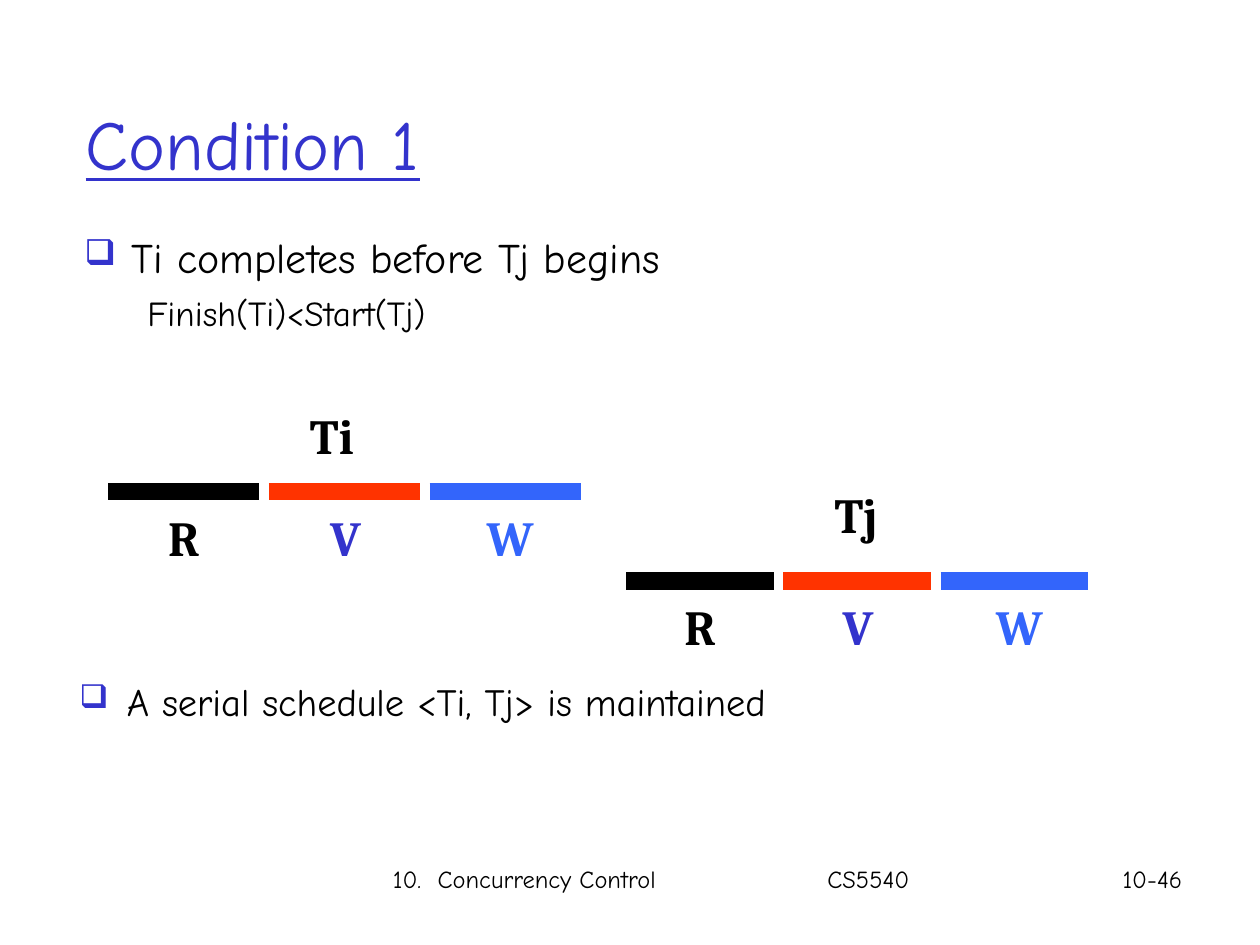
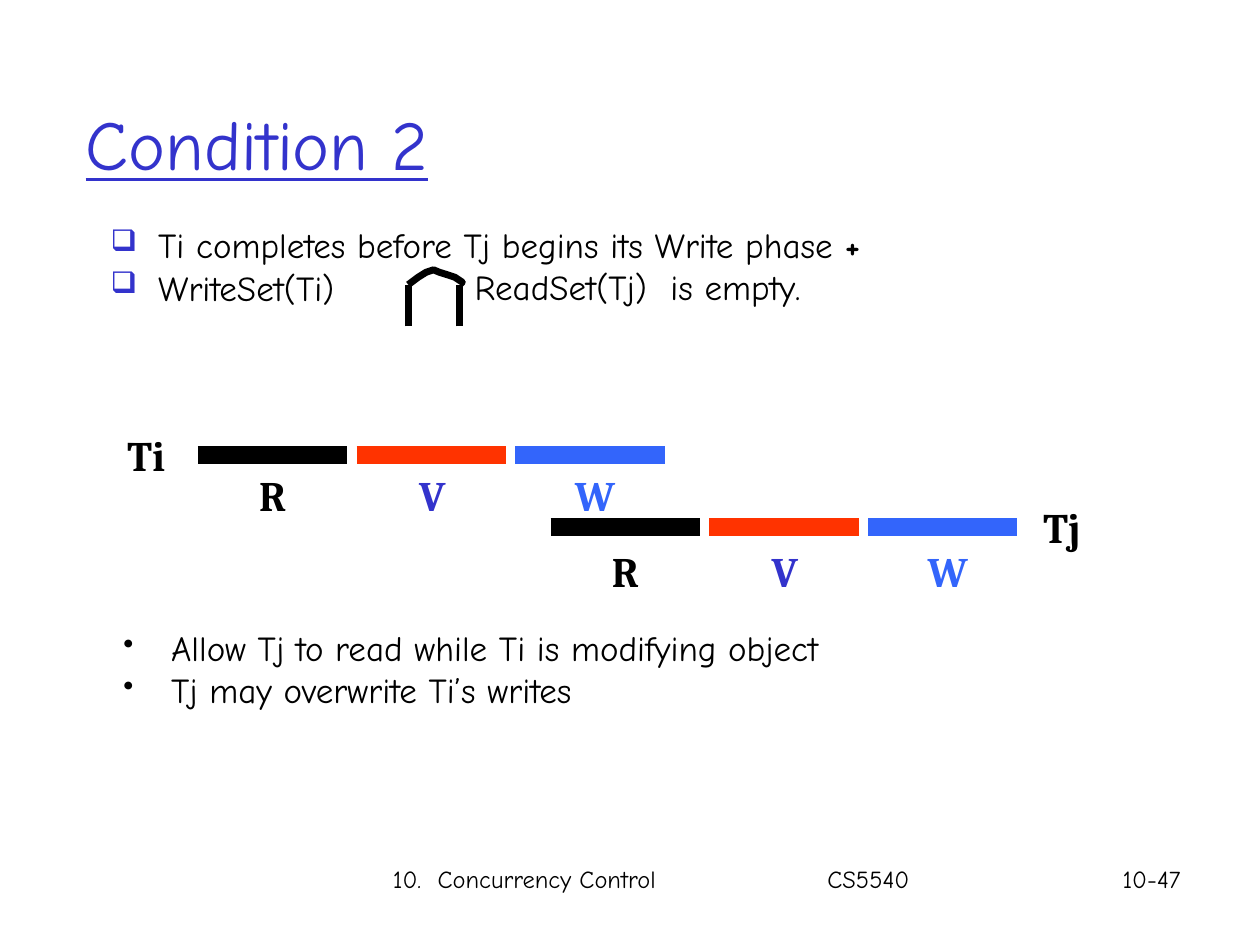
from dataclasses import dataclass

from lxml.etree import SubElement
from pptx import Presentation
from pptx.dml.color import RGBColor
from pptx.enum.shapes import MSO_CONNECTOR
from pptx.enum.text import MSO_ANCHOR, PP_ALIGN
from pptx.oxml.ns import qn
from pptx.slide import Slide
from pptx.text.text import Font
from pptx.util import Cm, Pt

BLACK = RGBColor(0x00, 0x00, 0x00)
INDIGO = RGBColor(0x33, 0x33, 0xCC)
RED = RGBColor(0xFF, 0x33, 0x00)
BLUE = RGBColor(0x33, 0x65, 0xFB)
BODY_FONT = "Comic Neue"
LABEL_FONT = "Cambria"
HANGING = 0.96
BAR_GAP = 0.19
LABEL_WIDTH, LABEL_HEIGHT = 2.0, 1.4
BODY_TOP = 4.55


@dataclass(frozen=True)
class Line:
    """A paragraph; lengths in centimetres, sizes in points."""
    text: str
    size: float
    bullet: str = ""
    bullet_color: RGBColor = INDIGO
    indent: float = 0
    space_before: float = 0
    line_spacing: float = 1
    bold_tail: str = ""


@dataclass(frozen=True)
class Phase:
    letter: str
    bar_color: RGBColor
    label_color: RGBColor
    label_shift: float


@dataclass(frozen=True)
class Transaction:
    """A row of three phase bars; lengths in centimetres."""
    name: str
    name_center: float
    name_top: float
    left: float
    axis: float
    bar_length: float
    label_top: float
    label_size: float


PHASES = (
    Phase("R", BLACK, BLACK, 0),
    Phase("V", RED, INDIGO, 0.02),
    Phase("W", BLUE, BLUE, 0.1),
)


def style_font(font: Font, name: str, size: float, color: RGBColor) -> None:
    font.name = name
    font.size = Pt(size)
    font.color.rgb = color


def add_text(slide: Slide, left: float, top: float, width: float,
             height: float, *lines: Line) -> None:
    box = slide.shapes.add_textbox(Cm(left), Cm(top), Cm(width), Cm(height))
    frame = box.text_frame
    frame.word_wrap = True
    for index, line in enumerate(lines):
        paragraph = frame.add_paragraph() if index else frame.paragraphs[0]
        paragraph.space_before = Pt(line.space_before)
        paragraph.line_spacing = line.line_spacing
        properties = paragraph._p.get_or_add_pPr()
        if line.bullet:
            properties.set("marL", str(Cm(HANGING)))
            properties.set("indent", str(Cm(-HANGING)))
            color = SubElement(properties, qn("a:buClr"))
            SubElement(color, qn("a:srgbClr"), val=str(line.bullet_color))
            SubElement(properties, qn("a:buSzPct"), val="85000")
            SubElement(properties, qn("a:buChar"), char=line.bullet)
        elif line.indent:
            properties.set("marL", str(Cm(line.indent)))
        style_font(paragraph.font, BODY_FONT, line.size, BLACK)
        paragraph.add_run().text = line.text
        if line.bold_tail:
            tail = paragraph.add_run()
            tail.text = line.bold_tail
            tail.font.bold = True


def add_label(slide: Slide, text: str, center: float, top: float,
              size: float, color: RGBColor) -> None:
    box = slide.shapes.add_textbox(Cm(center - LABEL_WIDTH / 2), Cm(top),
                                   Cm(LABEL_WIDTH), Cm(LABEL_HEIGHT))
    box.text_frame.word_wrap = True
    paragraph = box.text_frame.paragraphs[0]
    paragraph.text = text
    paragraph.alignment = PP_ALIGN.CENTER
    style_font(paragraph.font, LABEL_FONT, size, color)
    paragraph.font.bold = True


def add_line(slide: Slide, start: tuple[float, float],
             end: tuple[float, float], color: RGBColor, width: float) -> None:
    connector = slide.shapes.add_connector(
        MSO_CONNECTOR.STRAIGHT, *(Cm(value) for value in (*start, *end)))
    connector.line.color.rgb = color
    connector.line.width = Pt(width)
    SubElement(connector._element.spPr, qn("a:effectLst"))


def add_transaction(slide: Slide, row: Transaction) -> None:
    add_label(slide, row.name, row.name_center, row.name_top,
              row.label_size, BLACK)
    for index, phase in enumerate(PHASES):
        left = row.left + index * (row.bar_length + BAR_GAP)
        add_line(slide, (left, row.axis), (left + row.bar_length, row.axis),
                 phase.bar_color, 10)
        center = left + row.bar_length / 2 + phase.label_shift
        add_label(slide, phase.letter, center, row.label_top,
                  row.label_size, phase.label_color)


def add_intersection_sign(slide: Slide) -> None:
    for x in (8.23, 9.27):
        add_line(slide, (x, 6.58), (x, 5.74), BLACK, 4)
    arch = [(8.23, 5.74), (8.43, 5.59), (8.59, 5.49), (8.74, 5.44),
            (8.86, 5.49), (9.02, 5.54), (9.17, 5.59), (9.32, 5.69),
            (9.27, 5.74)]
    points = [(Cm(x), Cm(y)) for x, y in arch]
    builder = slide.shapes.build_freeform(*points[0])
    builder.add_line_segments(points[1:], close=False)
    shape = builder.convert_to_shape()
    shape.shadow.inherit = False
    shape.fill.background()
    shape.line.color.rgb = BLACK
    shape.line.width = Pt(4)


def add_condition_slide(presentation: Presentation, title: str,
                        page: str) -> Slide:
    slide = presentation.slides.add_slide(presentation.slide_layouts[5])
    # Title
    shape = slide.shapes.title
    shape.left, shape.top = Cm(1.47), Cm(1.3)
    shape.width, shape.height = Cm(21.59), Cm(3.15)
    shape.text_frame.vertical_anchor = MSO_ANCHOR.MIDDLE
    paragraph = shape.text_frame.paragraphs[0]
    paragraph.text = title
    paragraph.alignment = PP_ALIGN.LEFT
    style_font(paragraph.font, BODY_FONT, 40, INDIGO)
    paragraph.font.underline = True
    # Footer
    for text, left, width in (("10.  Concurrency Control", 7.67, 7),
                              ("CS5540", 16.43, 3),
                              (page, 22.38, 2.46)):
        add_text(slide, left, 17.3, width, 0.86, Line(text, 14))
    return slide


def build_condition_1(presentation: Presentation) -> None:
    slide = add_condition_slide(presentation, "Condition 1", "10-46")
    add_text(slide, 1.45, BODY_TOP, 21.67, 3.15,
             Line("Ti completes before Tj begins", 24, "❑", space_before=6),
             Line("Finish(Ti)<Start(Tj)", 20, indent=1.27, space_before=5))
    # Ti ends before Tj starts
    add_transaction(slide, Transaction("Ti", 6.69, 8.05, 2.18, 9.91, 3.05,
                                       10.11, 28))
    add_transaction(slide, Transaction("Tj", 17.26, 9.65, 12.62, 11.71, 2.98,
                                       11.91, 28))
    add_text(slide, 1.35, 13.54, 22.23, 1.7,
             Line("A serial schedule <Ti, Tj> is maintained", 22, "❑",
                  space_before=5.5))


def build_condition_2(presentation: Presentation) -> None:
    slide = add_condition_slide(presentation, "Condition 2", "10-47")
    tight = {"space_before": 5, "line_spacing": 0.8}
    add_text(slide, 1.98, BODY_TOP, 20.37, 3.1,
             Line("Ti completes before Tj begins its Write phase ", 20, "❑",
                  bold_tail="+", **tight),
             Line("WriteSet(Ti)", 20, "❑", **tight))
    # Right side of the intersection, level with the second line
    add_text(slide, 9.32, BODY_TOP + 0.85, 12, 1.2,
             Line("ReadSet(Tj)  is empty.", 20, **tight))
    add_intersection_sign(slide)
    # Tj reads while Ti writes
    add_transaction(slide, Transaction("Ti", 2.95, 8.53, 3.99, 9.17, 3.01,
                                       9.35, 24))
    add_transaction(slide, Transaction("Tj", 21.41, 9.98, 11.1, 10.62, 3.01,
                                       10.87, 24))
    add_text(slide, 2.24, 12.5, 20.75, 3.38,
             *(Line(text, 20, "•", BLACK) for text in (
                 "Allow Tj to read while Ti is modifying object",
                 "Tj may overwrite Ti’s writes")))


def main() -> None:
    presentation = Presentation()
    presentation.slide_width, presentation.slide_height = Cm(25.4), Cm(19.05)
    build_condition_1(presentation)
    build_condition_2(presentation)
    presentation.save("out.pptx")


if __name__ == "__main__":
    main()
